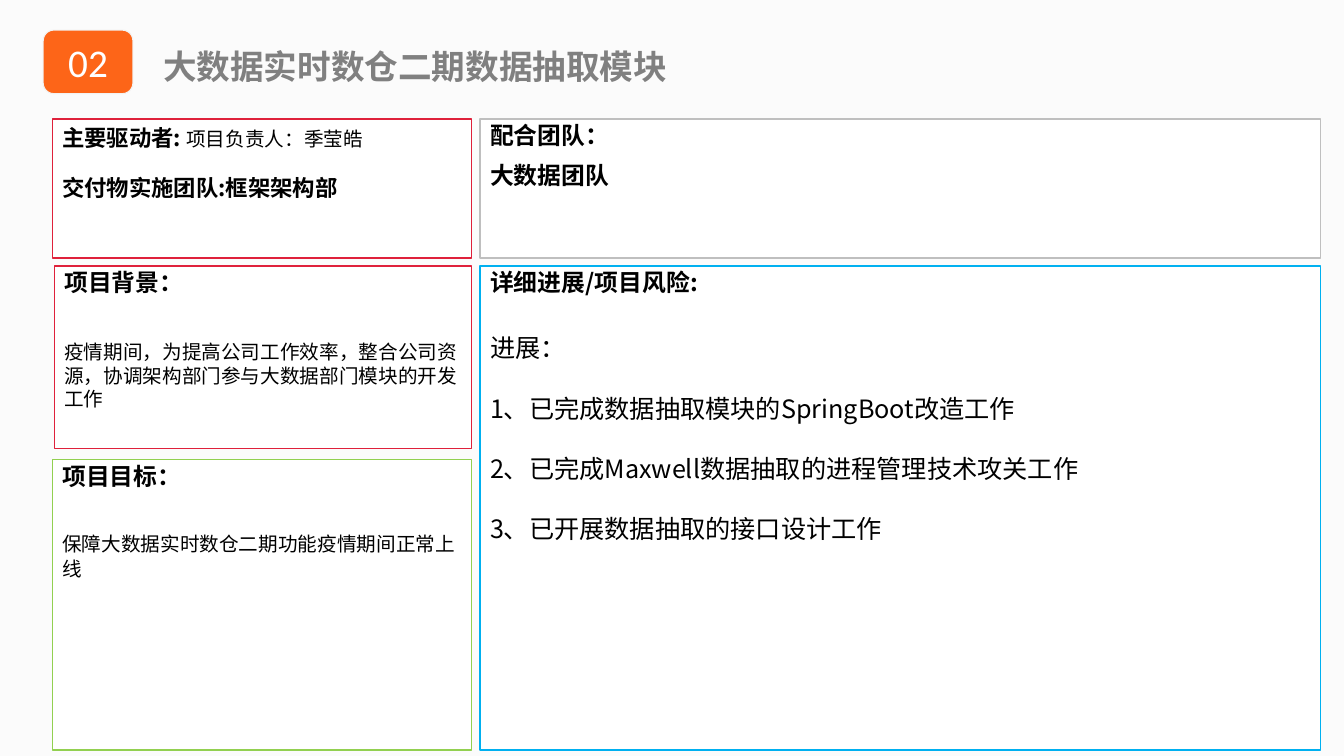
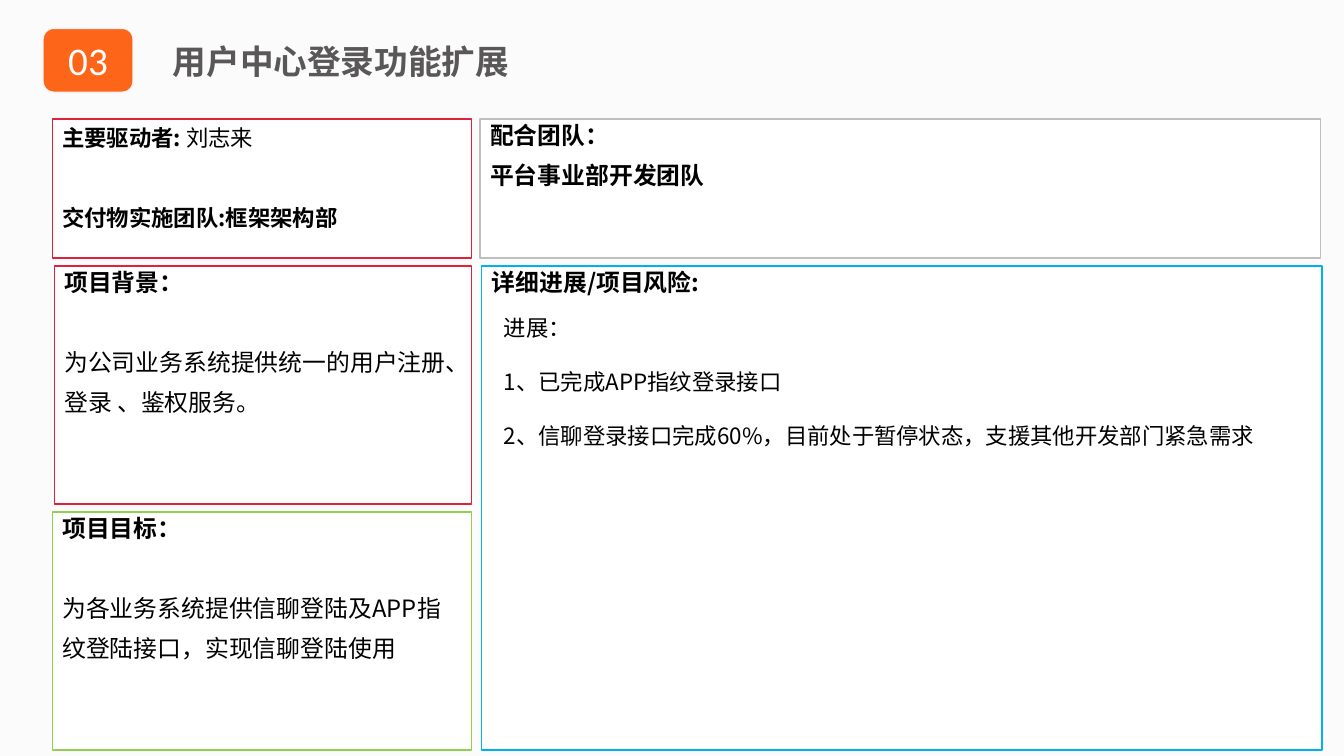
"""Build two project status slides with a shared panel style."""
from lxml import etree
from pptx import Presentation
from pptx import util as u
from pptx.dml.color import RGBColor
from pptx.enum import shapes, text
from pptx.oxml.ns import qn

COLORS = {
    "paper": "FBFBFB", "white": "FFFFFF", "black": "000000",
    "orange": "FD6518", "rim": "F2F2F2", "red": "DF213B",
    "green": "92D050", "blue": "00B0F0", "silver": "BFBFBF",
    "gray": "808080", "charcoal": "595757",
}
FONT = "Noto Sans CJK SC"
HEAD = 17
HEAD_PITCH = 18.4
HEAD_GAP = 10
BODY_GAP = HEAD_PITCH + HEAD_GAP
LEFT, LEFT_WIDTH = 1.32, 10.57
RIGHT, RIGHT_WIDTH = 12.1, 21.18
TOP, TOP_HEIGHT = 3.0, 3.5
MIDDLE, BOTTOM = 6.7, 18.9


def color(name):
    return RGBColor.from_string(COLORS[name])


class Report:
    def __init__(self):
        self.deck = Presentation()
        self.deck.slide_width = u.Cm(33.87)
        self.deck.slide_height = u.Cm(19.05)
        self.page = None

    def start(self):
        self.page = self.deck.slides.add_slide(self.deck.slide_layouts[6])
        fill = self.page.background.fill
        fill.solid()
        fill.fore_color.rgb = color("paper")

    def style(self, span, size, bold=False, ink="black", font=FONT):
        span.font.size = u.Pt(size)
        span.font.bold = bold
        span.font.name = font
        span.font.color.rgb = color(ink)
        east = etree.SubElement(span.font._element, qn("a:ea"))
        east.set("typeface", FONT)

    def line(self, box, spans, gap=0, pitch=None):
        frame = box.text_frame
        para = frame.paragraphs[0]
        if para.runs:
            para = frame.add_paragraph()
        para.alignment = text.PP_ALIGN.LEFT
        para.space_before = u.Pt(gap)
        para.line_spacing = u.Pt(pitch or round(spans[0][1] * 1.2, 1))
        for words, *look in spans:
            span = para.add_run()
            span.text = words
            self.style(span, *look)

    def heading(self, box, words, gap=0):
        self.line(box, [(words, HEAD, True)], gap, HEAD_PITCH)

    def shape(self, kind, edge, fill, weight, *place):
        box = self.page.shapes.add_shape(kind, *map(u.Cm, place))
        box.shadow.inherit = False
        box.fill.solid()
        box.fill.fore_color.rgb = color(fill)
        box.line.color.rgb = color(edge)
        box.line.width = u.Pt(weight)
        box.text_frame.word_wrap = True
        return box

    def panel(self, edge, *place):
        box = self.shape(shapes.MSO_SHAPE.RECTANGLE, edge, "white", 1, *place)
        box.text_frame.vertical_anchor = text.MSO_ANCHOR.TOP
        return box

    def textbox(self, *place):
        box = self.page.shapes.add_textbox(*map(u.Cm, place))
        box.text_frame.word_wrap = True
        return box

    def badge(self, number, top):
        box = self.shape(shapes.MSO_SHAPE.ROUNDED_RECTANGLE, "rim", "orange",
                         0.75, 1.09, top, 2.26, 1.6)
        box.text_frame.vertical_anchor = text.MSO_ANCHOR.MIDDLE
        para = box.text_frame.paragraphs[0]
        para.text = number
        para.alignment = text.PP_ALIGN.CENTER
        self.style(para.runs[0], 28, False, "white", "Calibri")

    def title(self, words, ink, left, top, pitch):
        box = self.textbox(left, top, 22.73, 1.2)
        self.line(box, [(words, 24, True, ink)], 0, pitch)

    def drivers(self, people, gap):
        box = self.panel("red", LEFT, TOP, LEFT_WIDTH, TOP_HEIGHT)
        self.line(box, [("主要驱动者: ", 16, True), *people])
        self.line(box, [("交付物实施团队:框架架构部", 16, True)], gap)

    def partners(self, team):
        box = self.panel("silver", RIGHT, TOP, RIGHT_WIDTH, TOP_HEIGHT)
        self.heading(box, "配合团队：")
        self.heading(box, team, HEAD_GAP)

    def story(self, name, edge, left, top, bottom, lines):
        width = LEFT + LEFT_WIDTH - left
        box = self.panel(edge, left, top, width, bottom - top)
        self.heading(box, name)
        for words, size, gap, pitch in lines:
            self.line(box, [(words, size)], gap, pitch)

    def progress(self, left, place, size, lines):
        box = self.panel("blue", left, MIDDLE, RIGHT_WIDTH, BOTTOM - MIDDLE)
        self.heading(box, "详细进展/项目风险:")
        notes = self.textbox(*place)
        for index, words in enumerate(lines):
            self.line(notes, [(words, size)], size * 1.2 if index else 0)


def pair(first, second):
    return [(first, HEAD, BODY_GAP + HEAD_GAP, HEAD_PITCH),
            (second, HEAD, HEAD_GAP, HEAD_PITCH)]


report = Report()

report.start()
report.badge("02", 0.76)
report.title("大数据实时数仓二期数据抽取模块", "gray", 3.86, 1.3, 21.3)
report.drivers([("项目负责人：", 14),
                ("季莹皓", 14, False, "black", "Arial")], 16.8)
report.partners("大数据团队")
report.story("项目背景：", "red", 1.37, MIDDLE, 11.3, [
    ("疫情期间，为提高公司工作效率，整合公司资源，"
     "协调架构部门参与大数据部门模块的开发工作", 14, BODY_GAP + 2.8, 16.8)])
report.story("项目目标：", "green", LEFT, 11.58, BOTTOM, [
    ("保障大数据实时数仓二期功能疫情期间正常上线", 14, BODY_GAP, 18)])
report.progress(RIGHT, (RIGHT, 8.25, 19.74, 5.64), 18, [
    "进展：",
    "1、已完成数据抽取模块的SpringBoot改造工作",
    "2、已完成Maxwell数据抽取的进程管理技术攻关工作",
    "3、已开展数据抽取的接口设计工作"])

report.start()
report.badge("03", 0.72)
report.title("用户中心登录功能扩展", "charcoal", 4.11, 0.9, 28.8)
report.drivers([("刘志来", 16)], 38.4)
report.partners("平台事业部开发团队")
report.story("项目背景：", "red", 1.37, MIDDLE, 12.7, pair(
    "为公司业务系统提供统一的用户注册、", "登录 、鉴权服务。"))
report.story("项目目标：", "green", LEFT, 12.9, BOTTOM, pair(
    "为各业务系统提供信聊登陆及APP指", "纹登陆接口，实现信聊登陆使用"))
report.progress(12.14, (12.45, 7.8, 20.55, 3.68), 16, [
    "进展：",
    "1、已完成APP指纹登录接口",
    "2、信聊登录接口完成60%，目前处于暂停状态，支援其他开发部门紧急需求"])

report.deck.save("out.pptx")
